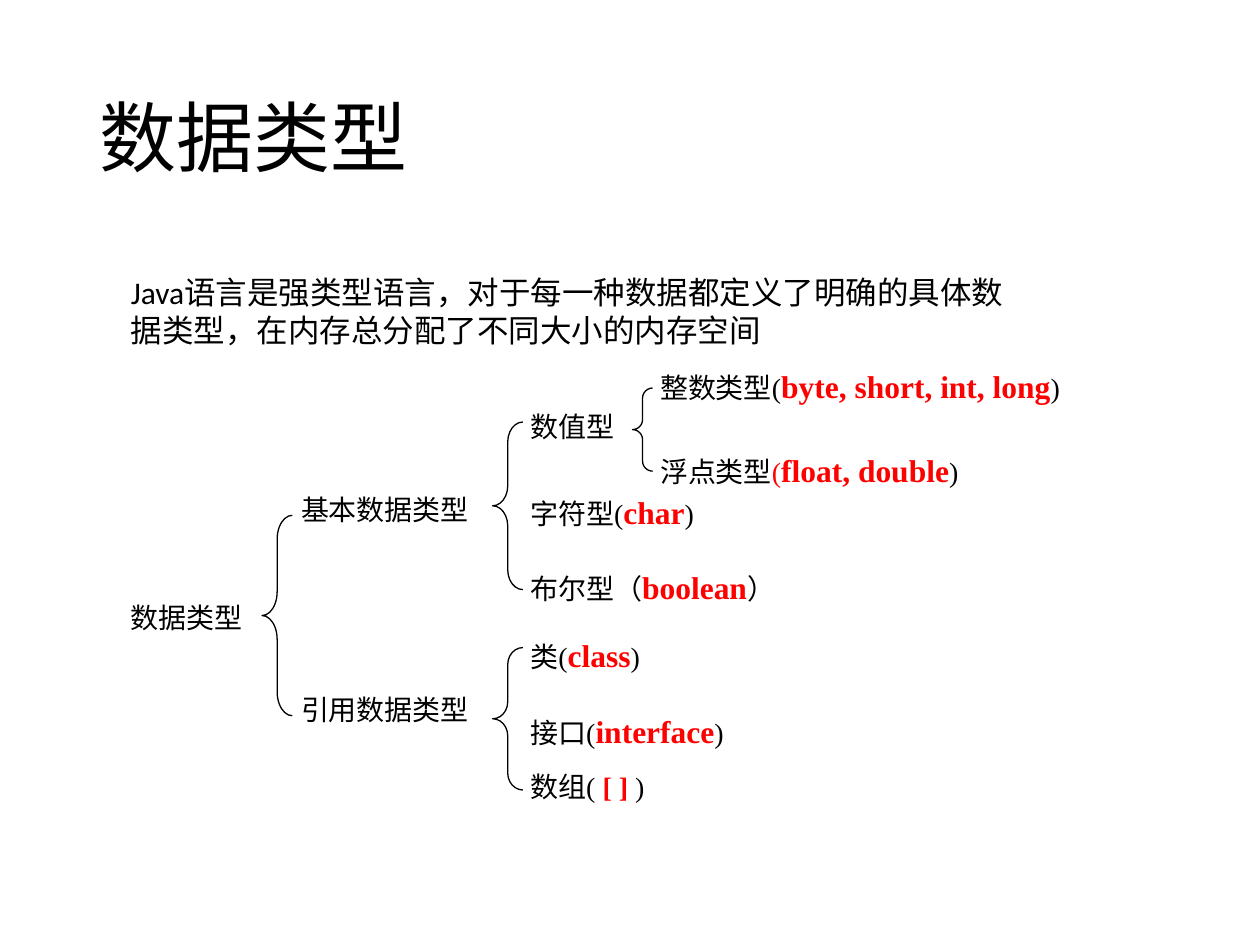
from dataclasses import dataclass

from pptx import Presentation
from pptx.dml.color import RGBColor
from pptx.enum import shapes, text
from pptx.util import Inches, Pt


@dataclass(frozen=True)
class Theme:
    black: RGBColor = RGBColor(0, 0, 0)
    red: RGBColor = RGBColor(255, 0, 0)
    heading_font: str = "Calibri"
    tree_font: str = "Times New Roman"
    title_size: int = 44
    body_size: int = 18
    label_size: int = 16
    keyword_size: int = 18
    brace_line: float = 0.75


THEME = Theme()
LABEL_HEIGHT = 0.27
TYPE_LEFT = 4.15  # column of the concrete types
KIND_LEFT = 2.33  # column of basic and reference types
NUMBER_LEFT = 5.18  # column of the numeric types

# Left, top, width, plain words
PLAIN_LABELS = [
    (0.98, 4.74, 1.66, "数据类型"),
    (KIND_LEFT, 3.88, 1.67, "基本数据类型"),
    (KIND_LEFT, 5.47, 1.67, "引用数据类型"),
    (TYPE_LEFT, 3.22, 0.95, "数值型"),
]

# Left, top, width, words before the keyword, keyword, words after it
KEYWORD_LABELS = [
    (NUMBER_LEFT, 2.88, 3.4, "整数类型(", "byte, short, int, long", ")"),
    (TYPE_LEFT, 3.88, 1.9, "字符型(", "char", ")"),
    (TYPE_LEFT, 4.48, 2.5, "布尔型（", "boolean", "）"),
    (TYPE_LEFT, 5.02, 1.58, "类(", "class", ")"),
    (TYPE_LEFT, 5.62, 1.9, "接口(", "interface", ")"),
]

# Left, top, width, height, curve
BRACES = [
    (2.08, 4.09, 0.24, 1.59, 0.79),
    (3.91, 3.35, 0.24, 1.33, 0.66),
    (5.02, 3.08, 0.16, 0.66, 0.5),
    (3.91, 5.14, 0.24, 1.13, 0.56),
]


def add_run(paragraph, words, font, size, color=THEME.black, bold=False):
    run = paragraph.add_run()
    run.text = words
    run.font.name = font
    run.font.size = Pt(size)
    run.font.color.rgb = color
    run.font.bold = bold


def add_text_box(container, left, top, width, height):
    shape = container.shapes.add_textbox(
        Inches(left), Inches(top), Inches(width), Inches(height))
    shape.text_frame.word_wrap = True
    return shape.text_frame


def add_label(tree, left, top, width, parts):
    """Add a tree label; parts are (words, size, color, bold)."""
    frame = add_text_box(tree, left, top, width, LABEL_HEIGHT)
    frame.auto_size = text.MSO_AUTO_SIZE.SHAPE_TO_FIT_TEXT
    frame.margin_left = frame.margin_right = Inches(0.06)
    frame.margin_top = frame.margin_bottom = Inches(0.03)
    paragraph = frame.paragraphs[0]
    paragraph.alignment = text.PP_ALIGN.JUSTIFY
    for words, size, color, bold in parts:
        add_run(paragraph, words, THEME.tree_font, size, color, bold)


def plain(words, color=THEME.black):
    return words, THEME.label_size, color, False


def keyword(words, size=THEME.keyword_size):
    return words, size, THEME.red, True


def add_brace(tree, left, top, width, height, curve):
    shape = tree.shapes.add_shape(
        shapes.MSO_SHAPE.LEFT_BRACE,
        Inches(left), Inches(top), Inches(width), Inches(height))
    shape.adjustments[0] = curve
    shape.shadow.inherit = False
    shape.fill.background()
    shape.line.color.rgb = THEME.black
    shape.line.width = Pt(THEME.brace_line)


def add_title(slide, words):
    frame = add_text_box(slide, 0.69, 0.4, 8.62, 1.45)
    frame.vertical_anchor = text.MSO_ANCHOR.MIDDLE
    paragraph = frame.paragraphs[0]
    paragraph.line_spacing = 0.9
    add_run(paragraph, words, THEME.heading_font, THEME.title_size)


def add_introduction(slide, words):
    frame = add_text_box(slide, 0.94, 2.12, 7.13, 0.77)
    frame.auto_size = text.MSO_AUTO_SIZE.SHAPE_TO_FIT_TEXT
    add_run(frame.paragraphs[0], words, THEME.heading_font, THEME.body_size)


def add_type_tree(slide):
    tree = slide.shapes.add_group_shape()
    for left, top, width, words in PLAIN_LABELS:
        add_label(tree, left, top, width, [plain(words)])
    for left, top, width, before, word, after in KEYWORD_LABELS:
        add_label(tree, left, top, width,
                  [plain(before), keyword(word), plain(after)])
    # Two labels with their own run formats
    add_label(tree, NUMBER_LEFT, 3.55, 2.74,
              [plain("浮点类型"), plain("(", THEME.red),
               keyword("float, double"), plain(")")])
    add_label(tree, TYPE_LEFT, 6.08, 1.9,
              [plain("数组( "), keyword("[ ]", THEME.label_size), plain(" )")])
    for brace in BRACES:
        add_brace(tree, *brace)


def main():
    presentation = Presentation()
    presentation.slide_width = Inches(10)
    presentation.slide_height = Inches(7.5)
    slide = presentation.slides.add_slide(presentation.slide_layouts[6])

    add_title(slide, "数据类型")
    add_type_tree(slide)
    add_introduction(
        slide, "Java语言是强类型语言，对于每一种数据都定义了明确的具体"
               "数据类型，在内存总分配了不同大小的内存空间")
    presentation.save("out.pptx")


if __name__ == "__main__":
    main()
